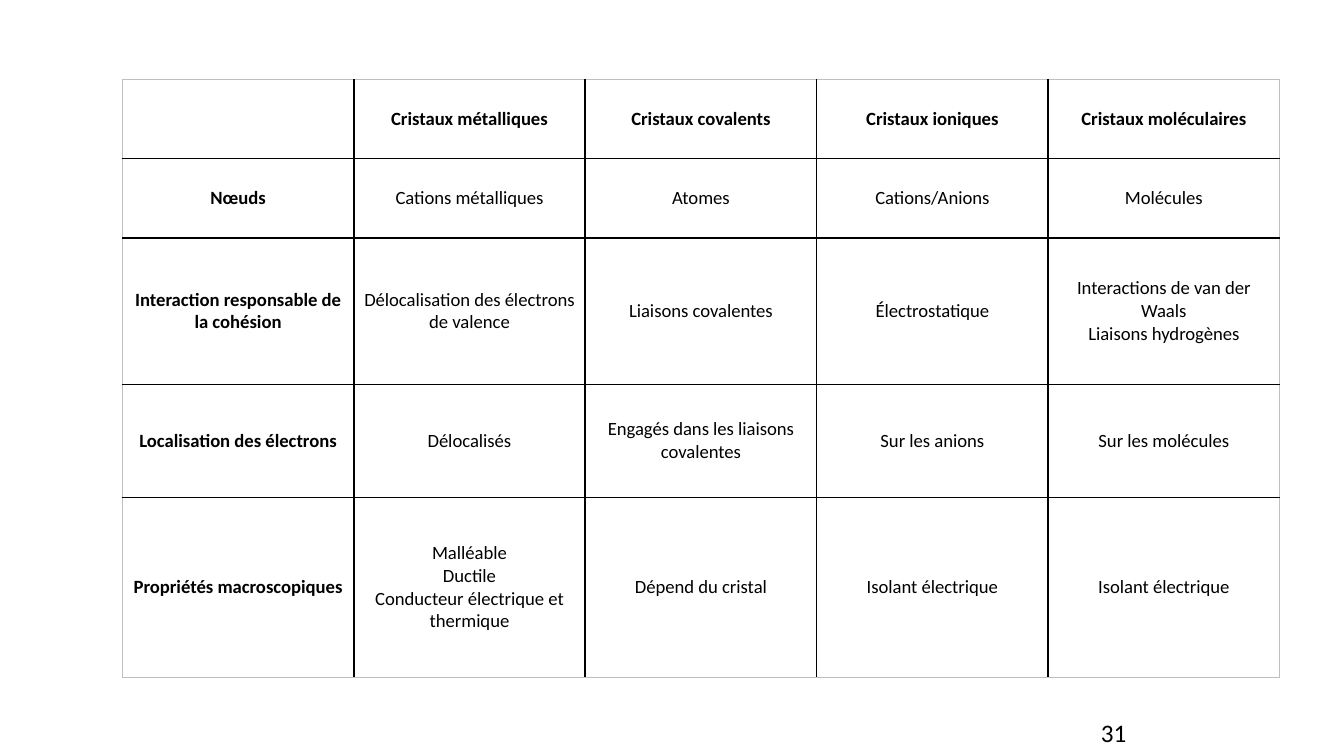
from dataclasses import dataclass

from lxml.etree import SubElement
from pptx import Presentation
from pptx.dml.color import RGBColor
from pptx.enum.text import MSO_ANCHOR as Anchor, PP_ALIGN as Align
from pptx.oxml.ns import qn
from pptx.util import Pt

HEADINGS = ["", "Cristaux métalliques", "Cristaux covalents",
            "Cristaux ioniques", "Cristaux moléculaires"]
PROPERTIES = [
    ["Nœuds", "Cations métalliques", "Atomes", "Cations/Anions", "Molécules"],
    ["Interaction responsable de la cohésion",
     "Délocalisation des électrons de valence",
     "Liaisons covalentes",
     "Électrostatique",
     "Interactions de van der Waals\nLiaisons hydrogènes"],
    ["Localisation des électrons", "Délocalisés",
     "Engagés dans les liaisons covalentes",
     "Sur les anions", "Sur les molécules"],
    ["Propriétés macroscopiques",
     "Malléable\nDuctile\nConducteur électrique et thermique",
     "Dépend du cristal", "Isolant électrique", "Isolant électrique"],
]
ROWS = [HEADINGS, *PROPERTIES]
ROW_HEIGHTS = [42.5, 42.5, 78.5, 60.5, 96.5]
COLUMN_WIDTH = 124
TABLE_LEFT, TABLE_TOP = 65.5, 42.5
PAGE_NUMBER = "31"


@dataclass(frozen=True)
class Theme:
    font: str = "Calibri"
    ink: str = "000000"
    frame: str = "BFBFBF"
    cell_size: float = 10
    number_size: float = 13.5
    grid_width: float = 1
    frame_width: float = 0.5
    margin_x: float = 5.3
    margin_y: float = 2.65


THEME = Theme()


def write(text_frame, text, size=THEME.cell_size, bold=False, align=Align.LEFT):
    for index, line in enumerate(text.split("\n")):
        paragraph = text_frame.paragraphs[0] if index == 0 else text_frame.add_paragraph()
        paragraph.alignment = align
        run = paragraph.add_run()
        run.text = line
        run.font.name = THEME.font
        run.font.size = Pt(size)
        run.font.bold = bold
        run.font.color.rgb = RGBColor.from_string(THEME.ink)


def set_margins(holder):
    holder.margin_left = holder.margin_right = Pt(THEME.margin_x)
    holder.margin_top = holder.margin_bottom = Pt(THEME.margin_y)


def set_borders(cell, outer_sides):
    properties = cell._tc.get_or_add_tcPr()
    for side in "LRTB":
        outer = side in outer_sides
        width = THEME.frame_width if outer else THEME.grid_width
        line = SubElement(properties, qn(f"a:ln{side}"), w=str(Pt(width)))
        fill = SubElement(line, qn("a:solidFill"))
        SubElement(fill, qn("a:srgbClr"), val=THEME.frame if outer else THEME.ink)


def add_comparison(slide):
    row_count, column_count = len(ROWS), len(HEADINGS)
    table = slide.shapes.add_table(
        row_count, column_count, Pt(TABLE_LEFT), Pt(TABLE_TOP),
        Pt(COLUMN_WIDTH * column_count), Pt(sum(ROW_HEIGHTS))).table
    table.first_row = table.horz_banding = False
    for column in table.columns:
        column.width = Pt(COLUMN_WIDTH)
    for row, height in zip(table.rows, ROW_HEIGHTS):
        row.height = Pt(height)
    for r, texts in enumerate(ROWS):
        for c, text in enumerate(texts):
            cell = table.cell(r, c)
            edges = {"L": c == 0, "R": c == column_count - 1,
                     "T": r == 0, "B": r == row_count - 1}
            set_borders(cell, [side for side, outer in edges.items() if outer])
            cell.fill.background()
            cell.vertical_anchor = Anchor.MIDDLE
            set_margins(cell)
            if text:
                write(cell.text_frame, text, bold=r == 0 or c == 0, align=Align.CENTER)


def add_page_number(slide):
    box = slide.shapes.add_textbox(Pt(584.5), Pt(381.5), Pt(78), Pt(21.5))
    box.text_frame.word_wrap = True
    set_margins(box.text_frame)
    write(box.text_frame, PAGE_NUMBER, size=THEME.number_size)


def main():
    presentation = Presentation()
    presentation.slide_width, presentation.slide_height = Pt(720), Pt(405)
    slide = presentation.slides.add_slide(presentation.slide_layouts[6])
    add_page_number(slide)
    add_comparison(slide)
    presentation.save("out.pptx")


if __name__ == "__main__":
    main()
